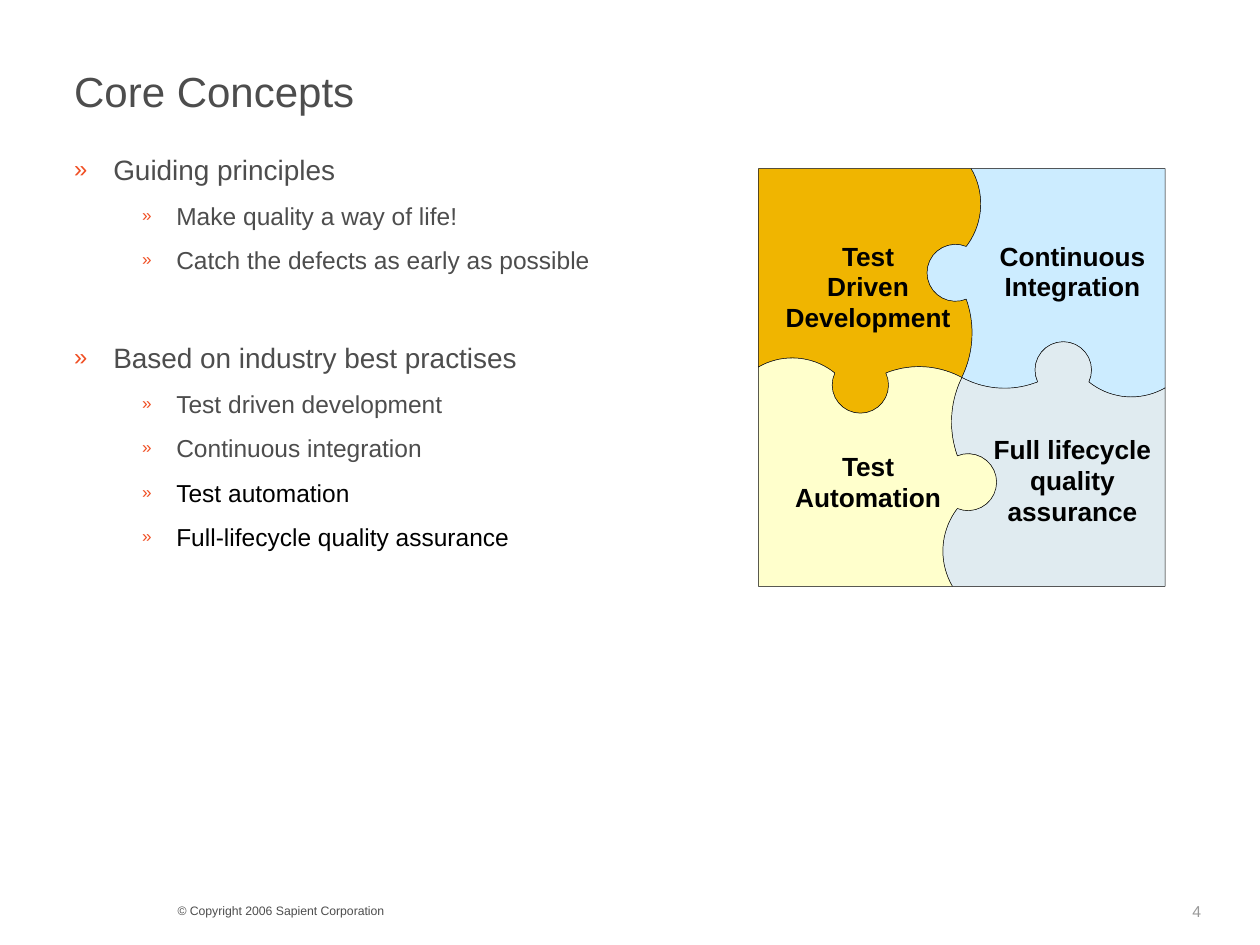
from dataclasses import dataclass
from math import atan, cos, hypot, sin

from lxml.etree import SubElement
from pptx import Presentation
from pptx.dml.color import RGBColor
from pptx.enum.text import MSO_ANCHOR, MSO_AUTO_SIZE, PP_ALIGN
from pptx.oxml.ns import qn
from pptx.util import Cm, Pt


@dataclass(frozen=True)
class Theme:
    font: str = "Arial"
    text: str = "4D4D4D"
    black: str = "000000"
    muted: str = "999999"
    bullet: str = "F04E22"
    title_size: float = 24
    label_size: float = 15
    number_size: float = 9
    footer_size: float = 7


THEME = Theme()

TITLE = "Core Concepts"
FOOTER = "© Copyright 2006 Sapient Corporation"
SLIDE_NUMBER = "4"

SECTIONS = [
    ("Guiding principles", [
        ("Make quality a way of life!", THEME.text),
        ("Catch the defects as early as possible", THEME.text),
    ]),
    ("Based on industry best practises", [
        ("Test driven development", THEME.text),
        ("Continuous integration", THEME.text),
        ("Test automation", THEME.black),
        ("Full-lifecycle quality assurance", THEME.black),
    ]),
]
SECTION_GAP = 32

LEVELS = [
    dict(size=16, margin=0.79, hanging=0.79, bullet=85, before=4),
    dict(size=14, margin=2.06, hanging=0.69, bullet=70, before=3.5),
]

LEFT, TOP, RIGHT, BOTTOM = 15.29, 3.4, 23.49, 11.82
CENTRE = ((LEFT + RIGHT) / 2, (TOP + BOTTOM) / 2)
LEFT_SEAM = ([(LEFT, 7.4), (16.83, 7.52), (17.86, 7.52), CENTRE], [0.24, -0.81, 0.17])
TOP_SEAM = ([(19.58, TOP), (19.48, 4.97), (19.48, 6.03), CENTRE], [0.24, -0.79, 0.16])
ARC_STEPS = 18
LABEL_WIDTH = 3.5
LINE_PITCH = 0.62

PIECES = [
    (["Test", "Driven", "Development"], "F0B500", (LEFT, TOP), (17.5, 4.85)),
    (["Continuous", "Integration"], "CCECFF", (RIGHT, TOP), (21.62, 4.85)),
    (["Full lifecycle", "quality", "assurance"], "E0EBF0", (RIGHT, BOTTOM), (21.62, 8.76)),
    (["Test", "Automation"], "FFFFCC", (LEFT, BOTTOM), (17.5, 9.09)),
]


def place(shape, left, top, width, height):
    shape.left, shape.top = Cm(left), Cm(top)
    shape.width, shape.height = Cm(width), Cm(height)


def add_run(paragraph, text, size, color, bold=False):
    run = paragraph.add_run()
    run.text = text
    run.font.name = THEME.font
    run.font.size = Pt(size)
    run.font.bold = bold
    run.font.color.rgb = RGBColor.from_string(color)


def add_bullet(paragraph, level):
    properties = paragraph._p.get_or_add_pPr()
    properties.set("marL", str(Cm(level["margin"])))
    properties.set("indent", str(-Cm(level["hanging"])))
    color = SubElement(properties, qn("a:buClr"))
    SubElement(color, qn("a:srgbClr"), val=THEME.bullet)
    SubElement(properties, qn("a:buSzPct"), val=str(level["bullet"] * 1000))
    SubElement(properties, qn("a:buFont"), typeface=THEME.font)
    SubElement(properties, qn("a:buChar"), char="»")


def fill_title(title):
    place(title, 1.24, 1.12, 22.89, 1.4)
    title.text_frame.auto_size = MSO_AUTO_SIZE.NONE
    title.text_frame.vertical_anchor = MSO_ANCHOR.MIDDLE
    paragraph = title.text_frame.paragraphs[0]
    paragraph.alignment = PP_ALIGN.LEFT
    add_run(paragraph, TITLE, THEME.title_size, THEME.text)


def fill_body(body):
    place(body, 1.24, 2.74, 15.06, 14.35)
    frame = body.text_frame
    frame.auto_size = MSO_AUTO_SIZE.NONE
    items = []
    for heading, points in SECTIONS:
        items.append((0, heading, THEME.text))
        items += [(1, text, color) for text, color in points]
    for index, (depth, text, color) in enumerate(items):
        level = LEVELS[depth]
        paragraph = frame.add_paragraph() if index else frame.paragraphs[0]
        paragraph.level = depth
        add_bullet(paragraph, level)
        paragraph.line_spacing = 1.3
        before = level["before"] if depth else SECTION_GAP
        paragraph.space_before = Pt(before if index else 0)
        add_run(paragraph, text, level["size"], color)


def add_text(slide, lines, box, size, color, bold=False, align=PP_ALIGN.LEFT,
             margins=(0.25, 0.13), pitch=None):
    shape = slide.shapes.add_textbox(*map(Cm, box))
    frame = shape.text_frame
    frame.word_wrap = True
    frame.margin_left = frame.margin_right = Cm(margins[0])
    frame.margin_top = frame.margin_bottom = Cm(margins[1])
    for index, line in enumerate(lines):
        paragraph = frame.add_paragraph() if index else frame.paragraphs[0]
        paragraph.alignment = align
        if pitch:
            paragraph.line_spacing = Cm(pitch)
        add_run(paragraph, line, size, color, bold)


def arc(start, end, bulge):
    (x1, y1), (x2, y2) = start, end
    chord = hypot(x2 - x1, y2 - y1)
    ux, uy = (x2 - x1) / chord, (y2 - y1) / chord
    nx, ny = uy, -ux
    radius = (chord ** 2 / 4 + bulge ** 2) / (2 * bulge)
    half_angle = 2 * atan(2 * bulge / chord)
    offset = bulge - radius
    centre_x, centre_y = (x1 + x2) / 2 + nx * offset, (y1 + y2) / 2 + ny * offset
    points = []
    for step in range(ARC_STEPS + 1):
        angle = half_angle * (2 * step / ARC_STEPS - 1)
        along, across = radius * sin(angle), radius * cos(angle)
        points.append((centre_x + across * nx + along * ux,
                       centre_y + across * ny + along * uy))
    return points


def trace_seam(knots, bulges):
    return [point for start, end, bulge in zip(knots, knots[1:], bulges)
            for point in arc(start, end, bulge)]


def half_turn(points):
    return [(2 * CENTRE[0] - x, 2 * CENTRE[1] - y) for x, y in points]


def add_piece(slide, outline, color):
    points = [(Cm(x), Cm(y)) for x, y in outline]
    builder = slide.shapes.build_freeform(*points[0])
    builder.add_line_segments(points[1:], close=True)
    shape = builder.convert_to_shape()
    shape.shadow.inherit = False
    shape.fill.solid()
    shape.fill.fore_color.rgb = RGBColor.from_string(color)
    shape.line.color.rgb = RGBColor.from_string(THEME.black)
    shape.line.width = Pt(0.25)


def add_puzzle(slide):
    left, top = trace_seam(*LEFT_SEAM), trace_seam(*TOP_SEAM)
    seams = [left, top, half_turn(left), half_turn(top), left]
    for (lines, color, corner, (x, y)), first, second in zip(PIECES, seams, seams[1:]):
        add_piece(slide, first + second[::-1] + [corner], color)
        box = (x - LABEL_WIDTH / 2, y, LABEL_WIDTH, LINE_PITCH * len(lines))
        add_text(slide, lines, box, THEME.label_size, THEME.black, bold=True,
                 align=PP_ALIGN.CENTER, margins=(0, 0), pitch=LINE_PITCH)


def main():
    presentation = Presentation()
    presentation.slide_width, presentation.slide_height = Cm(25.4), Cm(19.05)
    slide = presentation.slides.add_slide(presentation.slide_layouts[1])
    fill_title(slide.shapes.title)
    fill_body(slide.placeholders[1])
    add_puzzle(slide)
    add_text(slide, [FOOTER], (3.33, 18.08, 10.16, 0.56), THEME.footer_size, THEME.text)
    add_text(slide, [SLIDE_NUMBER], (23.81, 18.07, 1.5, 0.61), THEME.number_size,
             THEME.muted, margins=(0.23, 0.11))
    presentation.save("out.pptx")


if __name__ == "__main__":
    main()
